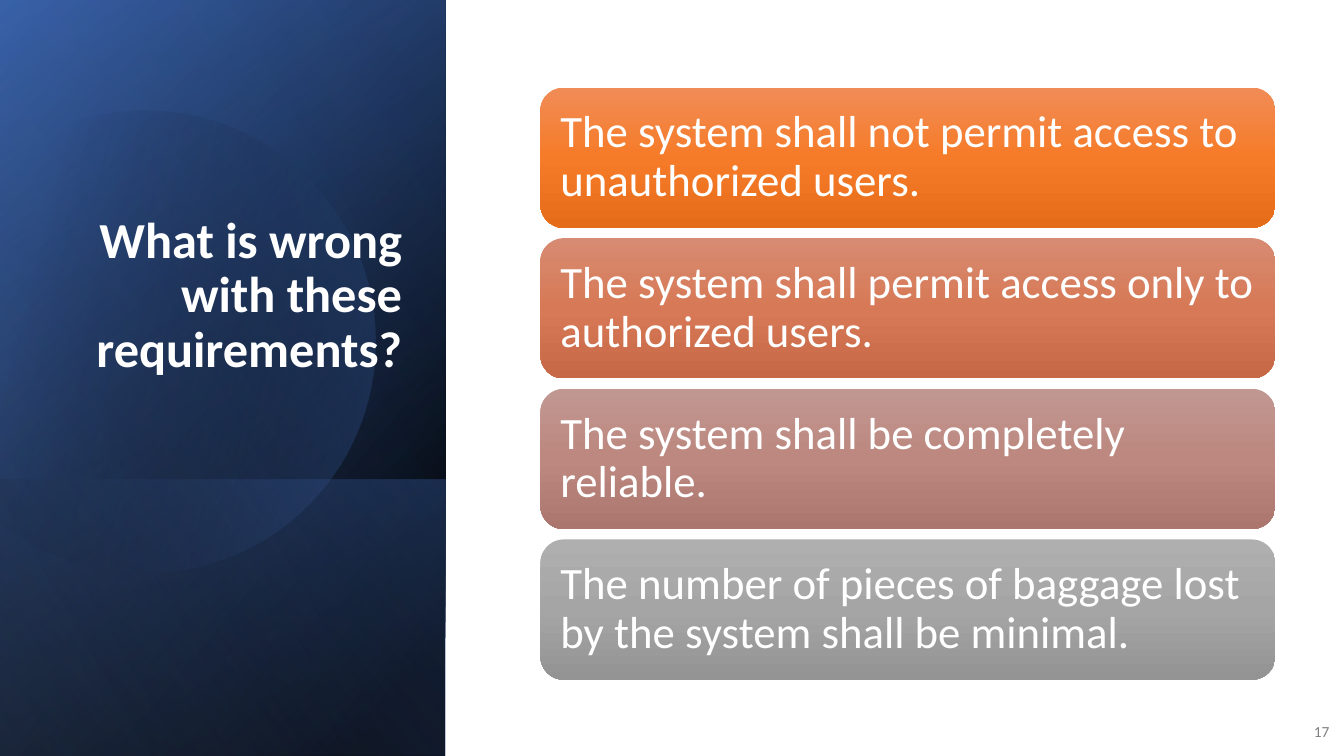
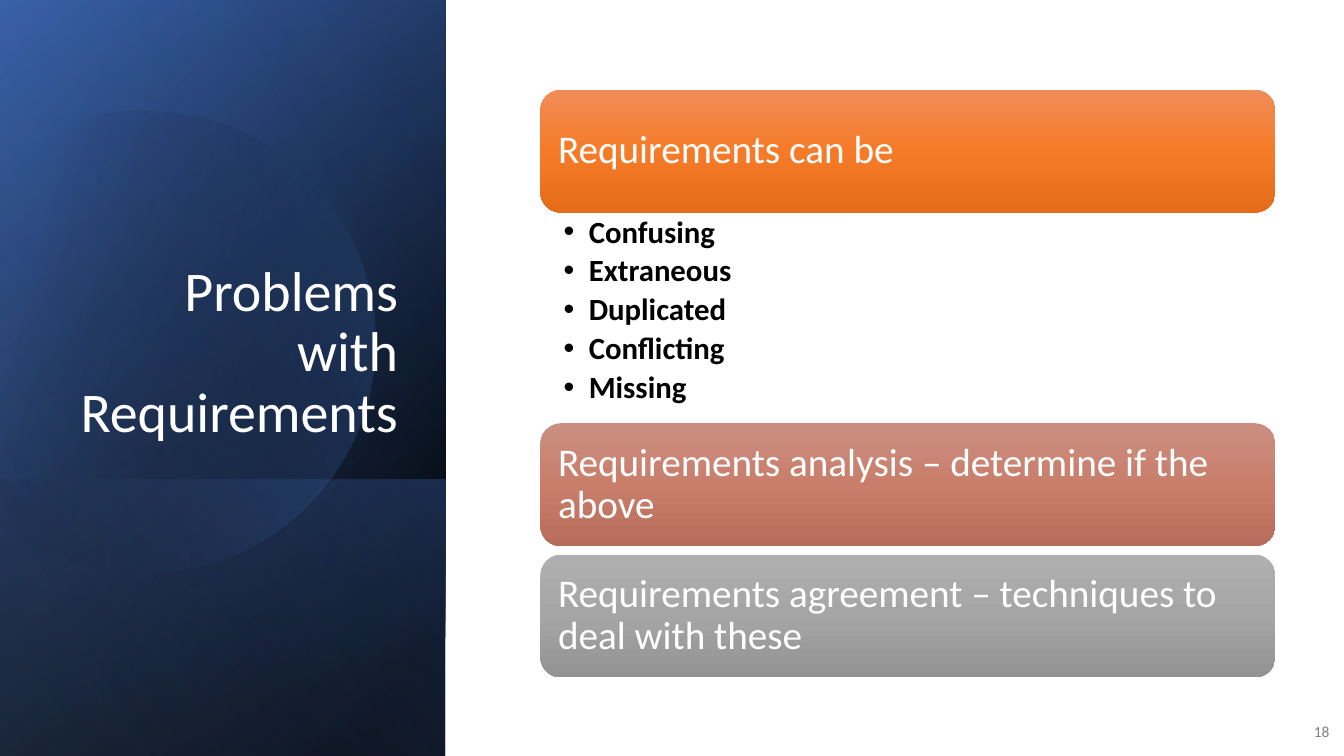
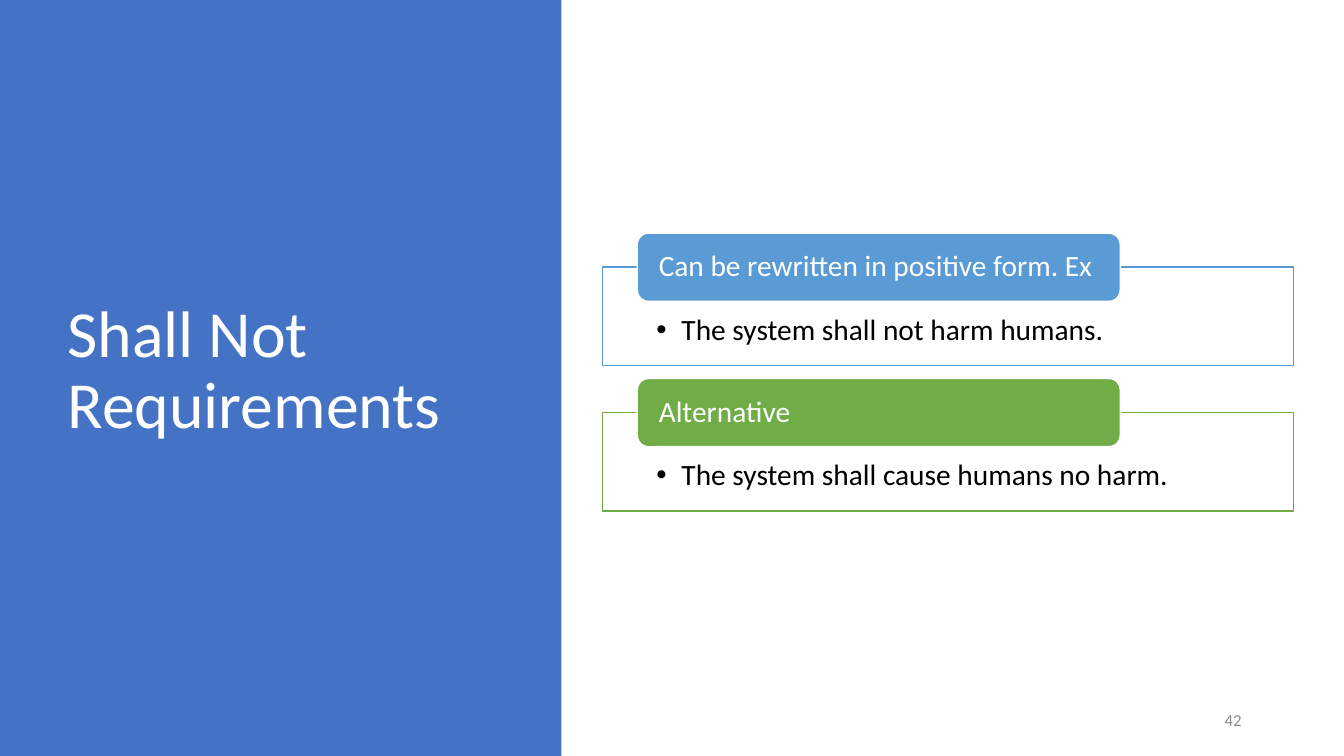
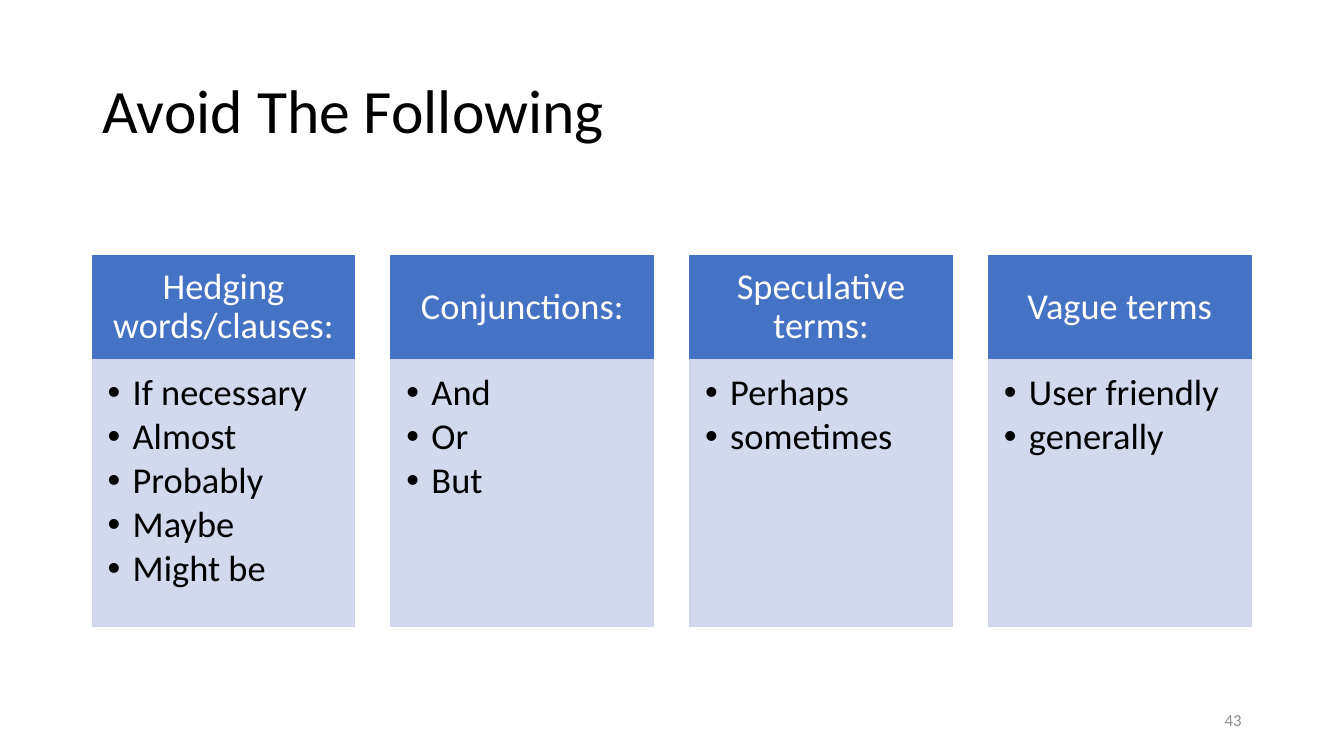
from math import cos, radians, sin

from lxml.etree import SubElement
from pptx import Presentation
from pptx.dml.color import RGBColor
from pptx.enum.shapes import MSO_SHAPE
from pptx.enum.text import MSO_ANCHOR, MSO_AUTO_SIZE, PP_ALIGN
from pptx.oxml.ns import qn
from pptx.util import Pt

FONT = "Calibri"
WHITE = RGBColor(0xFF, 0xFF, 0xFF)
BLACK = RGBColor(0x00, 0x00, 0x00)
BLUE = RGBColor(0x44, 0x72, 0xC4)
DARK_BLUE = RGBColor(0x2F, 0x55, 0x97)
PALE_BLUE = RGBColor(0x8F, 0xAA, 0xDC)
SKY = RGBColor(0x5B, 0x9B, 0xD5)
GREEN = RGBColor(0x70, 0xAD, 0x47)
LAVENDER = RGBColor(0xCF, 0xD5, 0xEA)
GREY = RGBColor(0x80, 0x80, 0x80)
LIGHT_GREY = RGBColor(0x8C, 0x8C, 0x8C)

ORANGE_SHADES = [RGBColor(0xF1, 0x8C, 0x57), RGBColor(0xF6, 0x7B, 0x28), RGBColor(0xE5, 0x6C, 0x19)]
CORAL_SHADES = [RGBColor(0xD7, 0x8B, 0x72), RGBColor(0xD7, 0x79, 0x56), RGBColor(0xC6, 0x68, 0x46)]
ROSE_SHADES = [RGBColor(0xC1, 0x97, 0x91), RGBColor(0xBC, 0x88, 0x80), RGBColor(0xAA, 0x76, 0x6E)]
BRICK_SHADES = [RGBColor(0xCB, 0x8F, 0x81), RGBColor(0xC9, 0x7E, 0x6B), RGBColor(0xB7, 0x6D, 0x5B)]
GREY_SHADES = [RGBColor(0xAF, 0xAF, 0xAF), RGBColor(0xA5, 0xA5, 0xA5), RGBColor(0x93, 0x93, 0x93)]

BAND_WIDTH, PAGE_HEIGHT = 318.2, 540
BAND_LAYERS = [
    (0, [(8, BLACK, 100), (100, DARK_BLUE, 100)], 50),
    (0, [(0, BLACK, 0), (99, BLUE, 46)], 30),
    (342.7, [(2, BLUE, 29), (100, BLACK, 30)], 130),
]
BAND_GLAZE = (0, [(0, BLACK, 0), (99, PALE_BLUE, 11)], 120)

CARD_SLIDES = [
    {
        "title": "What is wrong with these requirements?",
        "title_box": (49, 85, 245.5, 188.6), "title_size": 36, "bold": True,
        "number": "17", "top": 62.5, "height": 100.2, "gap": 7.4, "size": 32, "inset": 9.4,
        "cards": [
            ("The system shall not permit access to unauthorized users.", ORANGE_SHADES, []),
            ("The system shall permit access only to authorized users.", CORAL_SHADES, []),
            ("The system shall be completely reliable.", ROSE_SHADES, []),
            ("The number of pieces of baggage lost by the system shall be minimal.", GREY_SHADES, []),
        ],
    },
    {
        "title": "Problems with Requirements",
        "title_box": (46, 132.5, 245.5, 188.6), "title_size": 40, "bold": False,
        "number": "18", "top": 64, "height": 87.8, "gap": 6, "size": 28, "inset": 8.4,
        "cards": [
            ("Requirements can be", ORANGE_SHADES,
             ["Confusing", "Extraneous", "Duplicated", "Conflicting", "Missing"]),
            ("Requirements analysis – determine if the above", BRICK_SHADES, []),
            ("Requirements agreement – techniques to deal with these", GREY_SHADES, []),
        ],
    },
]
REWRITES = [
    ("Can be rewritten in positive form. Ex", "The system shall not harm humans.", SKY),
    ("Alternative", "The system shall cause humans no harm.", GREEN),
]
TERM_COLUMNS = [
    ("Hedging words/clauses:", ["If necessary", "Almost", "Probably", "Maybe", "Might be"]),
    ("Conjunctions:", ["And", "Or", "But"]),
    ("Speculative terms:", ["Perhaps", "sometimes"]),
    ("Vague terms", ["User friendly", "generally"]),
]


def add_alpha(color_element, percent):
    if percent < 100:
        SubElement(color_element, qn("a:alpha")).set("val", str(percent * 1000))


def fill_gradient(shape, stops, angle):
    shape.fill.gradient()
    gradient = shape.element.spPr.find(qn("a:gradFill"))
    stop_list = gradient.find(qn("a:gsLst"))
    stop_list.clear()
    for position, color, opacity in stops:
        stop = SubElement(stop_list, qn("a:gs"))
        stop.set("pos", str(position * 1000))
        color_element = SubElement(stop, qn("a:srgbClr"))
        color_element.set("val", str(color))
        add_alpha(color_element, opacity)
    gradient.find(qn("a:lin")).set("ang", str(angle * 60000))


def add_box(page, kind, place, fill=None, line=None, opacity=100):
    box = page.shapes.add_shape(kind, *[Pt(length) for length in place])
    box.shadow.inherit = False
    if fill is not None:
        box.fill.solid()
        box.fill.fore_color.rgb = fill
        add_alpha(box.element.spPr.find(qn("a:solidFill"))[0], opacity)
    if line is None:
        box.line.fill.background()
    else:
        box.line.color.rgb = line
        box.line.width = Pt(1)
    return box


def write(box, lines, size, color, align=PP_ALIGN.LEFT, anchor=MSO_ANCHOR.MIDDLE,
          insets=(7.2, 3.6, 7.2, 3.6), bold=False, bullet_gap=None):
    frame = box.text_frame
    frame.word_wrap = True
    frame.auto_size = MSO_AUTO_SIZE.NONE
    frame.vertical_anchor = anchor
    frame.margin_left, frame.margin_top, frame.margin_right, frame.margin_bottom = map(Pt, insets)
    frame.text = "\n".join(lines)
    for para in frame.paragraphs:
        if bullet_gap is not None:
            properties = para._p.get_or_add_pPr()
            properties.set("marL", str(Pt(18)))
            properties.set("indent", str(-Pt(18)))
            SubElement(properties, qn("a:buFont")).set("typeface", "Arial")
            SubElement(properties, qn("a:buChar")).set("char", "•")
            para.space_after = Pt(bullet_gap)
        para.alignment = align
        para.line_spacing = 0.9
        for span in para.runs:
            span.font.name = FONT
            span.font.size = Pt(size)
            span.font.bold = bold
            span.font.color.rgb = color


def add_text(page, place, lines, size, color, **style):
    box = page.shapes.add_textbox(*[Pt(length) for length in place])
    write(box, lines, size, color, **style)


def place_title(page, text, place, size, color, **style):
    title = page.shapes.title
    title.element.getparent().append(title.element)
    title.left, title.top, title.width, title.height = map(Pt, place)
    write(title, [text], size, color, **style)


def add_number(page, number, place, size, color):
    add_text(page, place, [number], size, color, align=PP_ALIGN.RIGHT)


def add_band_layer(page, top, stops, angle):
    height = PAGE_HEIGHT - top
    place = ((BAND_WIDTH - height) / 2, top + (height - BAND_WIDTH) / 2, height, BAND_WIDTH)
    layer = add_box(page, MSO_SHAPE.RECTANGLE, place)
    layer.rotation = 90
    layer.element.spPr.find(qn("a:xfrm")).set("flipH", "1")
    fill_gradient(layer, stops, angle)


def add_band_circle(page):
    center_x, center_y, radius = 103, 241, 164.8
    points = [(Pt(center_x + radius * cos(radians(angle))), Pt(center_y + radius * sin(radians(angle))))
              for angle in range(-117, 151, 3)]
    builder = page.shapes.build_freeform(*points[0])
    builder.add_line_segments(points[1:], close=True)
    circle = builder.convert_to_shape()
    circle.shadow.inherit = False
    circle.line.fill.background()
    circle.rotation = 343.9
    fill_gradient(circle, [(29, BLACK, 0), (100, BLUE, 43)], 30)


def add_band(page):
    for layer in BAND_LAYERS:
        add_band_layer(page, *layer)
    add_band_circle(page)
    add_band_layer(page, *BAND_GLAZE)


def build_cards(page, content):
    left, width, list_height = 386, 525, 150.5
    add_band(page)
    place_title(page, content["title"], content["title_box"], content["title_size"], WHITE,
                align=PP_ALIGN.RIGHT, anchor=MSO_ANCHOR.BOTTOM, bold=content["bold"])
    add_number(page, content["number"], (921.6, 508.5, 35.2, 28.8), 11, GREY)
    top = content["top"]
    for text, shades, bullets in content["cards"]:
        card = add_box(page, MSO_SHAPE.ROUNDED_RECTANGLE, (left, top, width, content["height"]))
        fill_gradient(card, [(position, shade, 100) for position, shade in zip((0, 50, 100), shades)], 90)
        write(card, [text], content["size"], WHITE, insets=[content["inset"]] * 4)
        top += content["height"]
        if bullets:
            add_text(page, (left, top, width, list_height), bullets, 22, BLACK, bold=True,
                     anchor=MSO_ANCHOR.TOP, insets=(16.6, 2.8, 15.8, 2.8), bullet_gap=4)
            top += list_height
        else:
            top += content["gap"]


def build_rewrites(page):
    add_box(page, MSO_SHAPE.RECTANGLE, (0, 0, 401, PAGE_HEIGHT), BLUE)
    place_title(page, "Shall Not Requirements", (41, 49, 299.5, 433.4), 47, WHITE)
    add_number(page, "42", (678, 500.5, 216, 28.8), 12, LIGHT_GREY)
    for index, (heading, sentence, color) in enumerate(REWRITES):
        top = 166.6 + index * 103.8
        frame = add_box(page, MSO_SHAPE.RECTANGLE, (430.5, top + 24.2, 493.5, 70.4), WHITE, color, 90)
        write(frame, [sentence], 21, BLACK, anchor=MSO_ANCHOR.TOP,
              insets=(38.3, 34.4, 38.3, 11.5), bullet_gap=3)
        tab = add_box(page, MSO_SHAPE.ROUNDED_RECTANGLE, (455.2, top, 345, 48.7), color, WHITE)
        write(tab, [heading], 21, WHITE, insets=(13, 0, 13, 0))


def build_terms(page):
    width, gap, top, head_height = 187.4, 26, 182.6, 74
    place_title(page, "Avoid The Following", (66, 28.8, 828, 104.4), 44, BLACK)
    for index, (heading, terms) in enumerate(TERM_COLUMNS):
        left = 66 + index * (width + gap)
        head = add_box(page, MSO_SHAPE.RECTANGLE, (left, top, width, head_height), BLUE, BLUE)
        write(head, [heading], 26, WHITE, align=PP_ALIGN.CENTER, insets=(14.4, 8.6, 14.4, 8.6))
        body = add_box(page, MSO_SHAPE.RECTANGLE, (left, top + head_height, width, 190.8),
                       LAVENDER, LAVENDER, 90)
        write(body, terms, 26, BLACK, anchor=MSO_ANCHOR.TOP,
              insets=(10.8, 10.8, 14.4, 16.6), bullet_gap=3.4)
    add_number(page, "43", (678, 500.5, 216, 28.8), 12, LIGHT_GREY)


def main():
    deck = Presentation()
    deck.slide_width, deck.slide_height = Pt(960), Pt(PAGE_HEIGHT)
    title_only = deck.slide_layouts[5]
    for content in CARD_SLIDES:
        build_cards(deck.slides.add_slide(title_only), content)
    build_rewrites(deck.slides.add_slide(title_only))
    build_terms(deck.slides.add_slide(title_only))
    deck.save("out.pptx")


if __name__ == "__main__":
    main()
